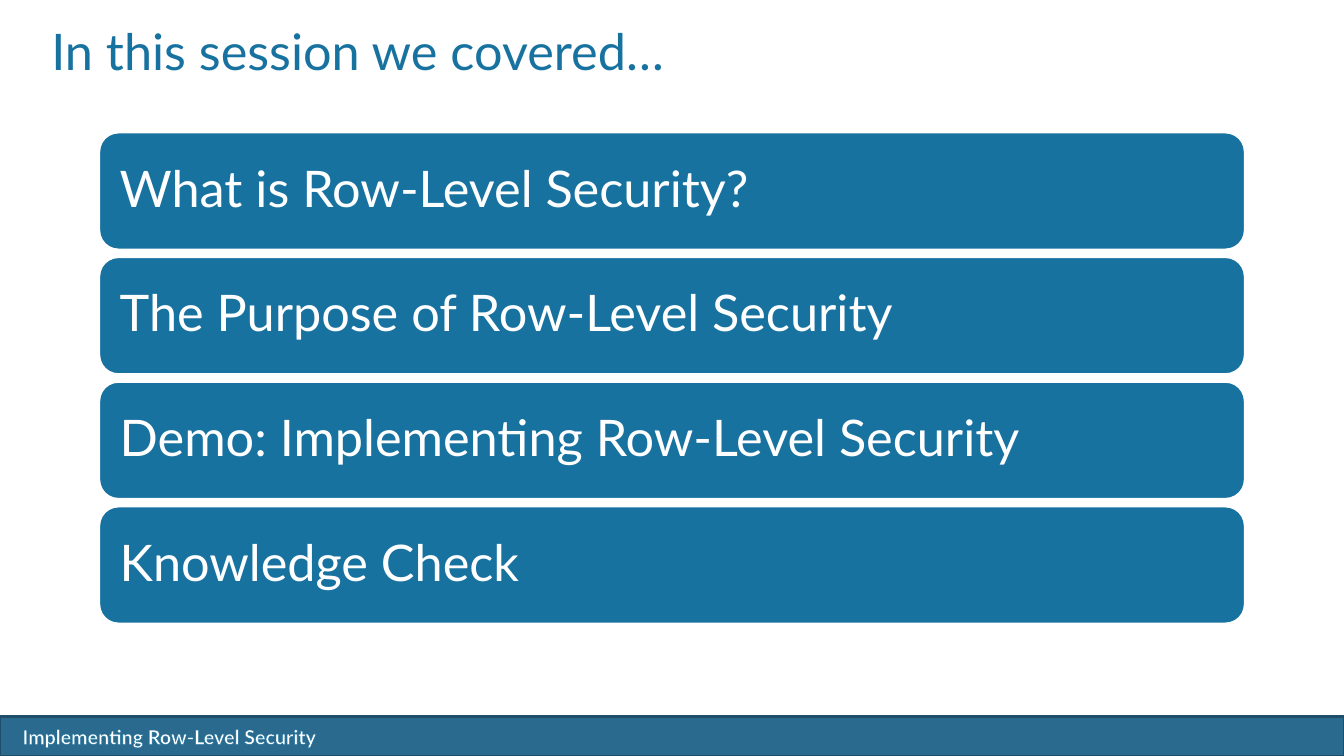
from dataclasses import dataclass

from lxml.etree import SubElement
from pptx import Presentation
from pptx.dml.color import RGBColor
from pptx.enum.shapes import MSO_SHAPE
from pptx.enum.text import MSO_ANCHOR, PP_ALIGN
from pptx.oxml.ns import qn
from pptx.shapes.autoshape import Shape
from pptx.slide import Slide
from pptx.util import Inches, Length, Pt

SLIDE_WIDTH = Inches(13.33)
SLIDE_HEIGHT = Inches(7.5)
FONT = "Lato"
COLORS = {
    "blue": "1872A0",
    "footer": "296A8E",
    "footer_edge": "1E4E69",
    "white": "FFFFFF",
}
TOPICS = [
    "What is Row-Level Security?",
    "The Purpose of Row-Level Security",
    "Demo: Implementing Row-Level Security",
    "Knowledge Check",
]
FIRST_TOPIC_TOP = 17.47
TOPIC_PITCH = 16.49


@dataclass(frozen=True)
class Area:
    """Position and size in percent of the slide."""

    left: float
    top: float
    width: float
    height: float

    def lengths(self) -> tuple[Length, Length, Length, Length]:
        return (
            Length(SLIDE_WIDTH * self.left / 100),
            Length(SLIDE_HEIGHT * self.top / 100),
            Length(SLIDE_WIDTH * self.width / 100),
            Length(SLIDE_HEIGHT * self.height / 100),
        )


@dataclass(frozen=True)
class TextStyle:
    size: int
    color: str
    bold: bool = False
    align: PP_ALIGN = PP_ALIGN.LEFT
    line_spacing: float | Length = 1.0


TITLE_STYLE = TextStyle(36, "blue", line_spacing=Pt(35))
TOPIC_STYLE = TextStyle(36, "white", line_spacing=0.9)
FOOTER_STYLE = TextStyle(14, "white", bold=True, align=PP_ALIGN.CENTER)


def color(name: str) -> RGBColor:
    return RGBColor.from_string(COLORS[name])


def write(shape: Shape, text: str, style: TextStyle, wrap: bool = True) -> None:
    shape.text_frame.word_wrap = wrap
    paragraph = shape.text_frame.paragraphs[0]
    paragraph.text = text
    paragraph.alignment = style.align
    paragraph.line_spacing = style.line_spacing
    paragraph.font.name = FONT
    paragraph.font.size = Pt(style.size)
    paragraph.font.bold = style.bold
    paragraph.font.color.rgb = color(style.color)


def add_panel(slide: Slide, kind: MSO_SHAPE, area: Area, fill: str, edge: str) -> Shape:
    shape = slide.shapes.add_shape(kind, *area.lengths())
    shape.shadow.inherit = False
    shape.fill.solid()
    shape.fill.fore_color.rgb = color(fill)
    shape.line.color.rgb = color(edge)
    shape.line.width = Pt(2)
    return shape


def add_text(slide: Slide, area: Area, text: str, style: TextStyle, wrap: bool = True) -> Shape:
    shape = slide.shapes.add_textbox(*area.lengths())
    write(shape, text, style, wrap)
    return shape


def add_topic(slide: Slide, index: int, text: str) -> None:
    area = Area(7.35, FIRST_TOPIC_TOP + index * TOPIC_PITCH, 85.3, 15.6)
    shape = add_panel(slide, MSO_SHAPE.ROUNDED_RECTANGLE, area, "blue", "white")
    shape.text_frame.margin_left = shape.text_frame.margin_right = Inches(0.15)
    shape.text_frame.vertical_anchor = MSO_ANCHOR.MIDDLE
    write(shape, text, TOPIC_STYLE)


def outline_text(shape: Shape, color_name: str, width: Length) -> None:
    properties = shape.text_frame.paragraphs[0].runs[0]._r.get_or_add_rPr()
    outline = SubElement(properties, qn("a:ln"), w=str(width))
    fill = SubElement(outline, qn("a:solidFill"))
    SubElement(fill, qn("a:srgbClr"), val=COLORS[color_name])


def main() -> None:
    presentation = Presentation()
    presentation.slide_width = SLIDE_WIDTH
    presentation.slide_height = SLIDE_HEIGHT
    slide = presentation.slides.add_slide(presentation.slide_layouts[6])

    add_panel(slide, MSO_SHAPE.RECTANGLE, Area(0, 94.75, 100, 5.3), "footer", "footer_edge")
    footer = add_text(
        slide, Area(0.15, 95.2, 24.9, 4.5), "Implementing Row-Level Security", FOOTER_STYLE, wrap=False
    )
    outline_text(footer, "blue", Pt(0.8))

    add_text(slide, Area(3.08, 3.47, 90, 16.67), "In this session we covered…", TITLE_STYLE)
    for index, topic in enumerate(TOPICS):
        add_topic(slide, index, topic)

    presentation.save("out.pptx")


if __name__ == "__main__":
    main()
